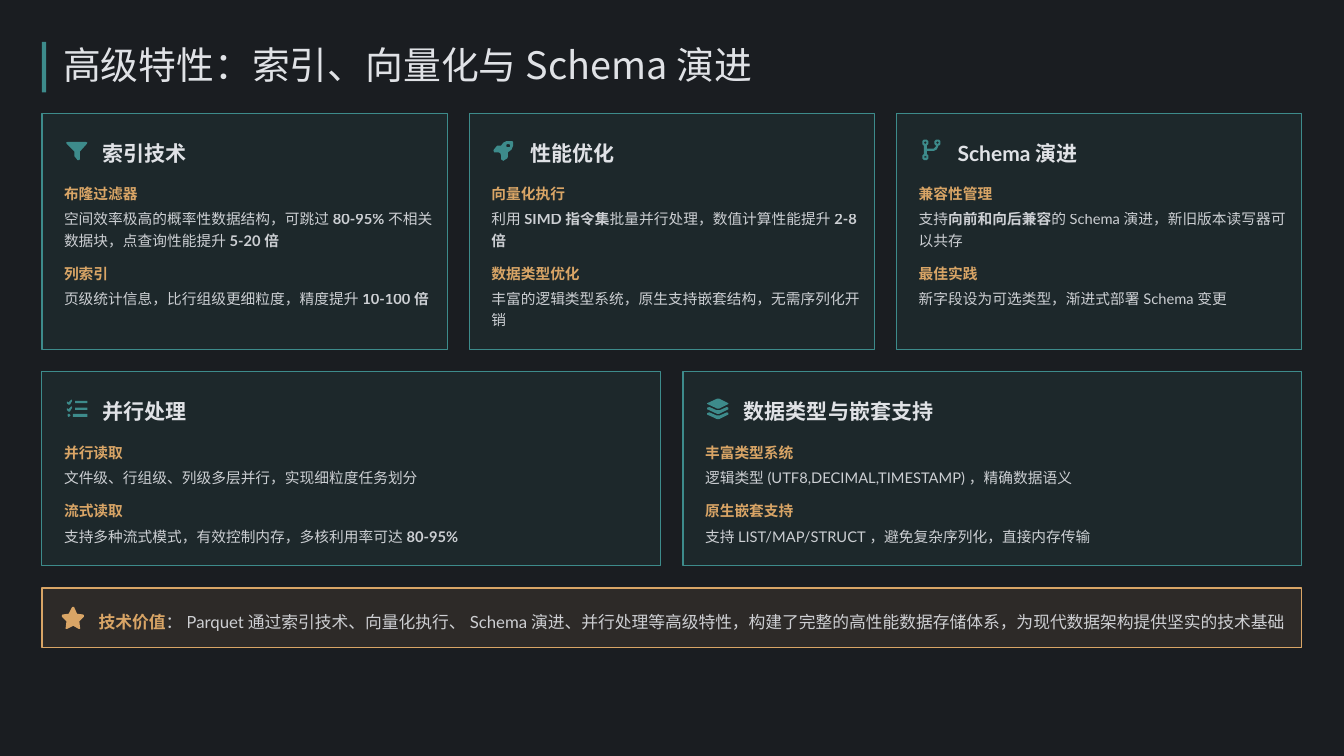
"""Build the slide on indexing, vectorisation and schema evolution."""
import math

from lxml import etree
from pptx import Presentation
from pptx.dml.color import RGBColor
from pptx.enum.shapes import MSO_SHAPE
from pptx.enum.text import MSO_ANCHOR
from pptx.oxml.ns import qn
from pptx.util import Pt

PX = 12700
ICON_UNIT = 9144
RECTANGLE = MSO_SHAPE.RECTANGLE
MIDDLE = MSO_ANCHOR.MIDDLE
LATIN, CJK = "Lato", "Noto Sans CJK SC"
COLORS = {"background": "1A1D21", "teal": "3D8B8B", "gold": "D9A566", "text": "E0E2E6"}

SLIDE_SIZE = (1280, 720)
LEFT, CONTENT_WIDTH, GAP = 40, 1200, 21
TITLE = "高级特性：索引、向量化与Schema演进"
VALUE_LABEL = "技术价值"
VALUE_TEXT = ("：Parquet通过索引技术、向量化执行、Schema演进、并行处理等高级特性，"
              "构建了完整的高性能数据存储体系，为现代数据架构提供坚实的技术基础")

ROWS = [
    {"top": 108, "height": 225, "cards": [
        ("funnel", "索引技术", 90, [
            ("布隆过滤器", "空间效率极高的概率性数据结构，可跳过**80-95%**不相关数据块，点查询性能提升**5-20倍**", 2),
            ("列索引", "页级统计信息，比行组级更细粒度，精度提升**10-100倍**", 1)]),
        ("rocket", "性能优化", 90, [
            ("向量化执行", "利用**SIMD指令集**批量并行处理，数值计算性能提升**2-8倍**", 2),
            ("数据类型优化", "丰富的逻辑类型系统，原生支持嵌套结构，无需序列化开销", 2)]),
        ("branch", "Schema演进", 124, [
            ("兼容性管理", "支持**向前和向后兼容**的Schema演进，新旧版本读写器可以共存", 2),
            ("最佳实践", "新字段设为可选类型，渐进式部署Schema变更", 1)])]},
    {"top": 354, "height": 185, "cards": [
        ("checklist", "并行处理", 90, [
            ("并行读取", "文件级、行组级、列级多层并行，实现细粒度任务划分", 1),
            ("流式读取", "支持多种流式模式，有效控制内存，多核利用率可达**80-95%**", 1)]),
        ("layers", "数据类型与嵌套支持", 190, [
            ("丰富类型系统", "逻辑类型(UTF8,DECIMAL,TIMESTAMP)，精确数据语义", 1),
            ("原生嵌套支持", "支持LIST/MAP/STRUCT，避免复杂序列化，直接内存传输", 1)])]},
]


def circle(x, y, radius):
    angles = [math.tau * step / 16 for step in range(16)]
    return [(x + radius * math.cos(a), y + radius * math.sin(a)) for a in angles]


def bar(left, top, right, bottom):
    return [(left, top), (right, top), (right, bottom), (left, bottom)]


def lowered(points, distance):
    return [(x, y + distance) for x, y in points]


CHECK = [(7, 2), (8, 4), (5, 9), (3, 9), (1, 7), (1, 5), (2, 5), (3, 6), (6, 3)]
BAND = [(3, 12), (12, 16), (17, 16), (26, 12), (28, 13), (28, 15), (16, 21), (13, 21),
        (0, 15), (0, 13)]
NODES = [(6, 4), (22, 4), (6, 23)]
ICONS = {
    "funnel": [[(2, 3), (0, 4), (1, 6), (11, 16), (11, 22), (15, 27), (17, 27), (18, 26),
                (18, 16), (27, 6), (28, 4), (26, 3)]],
    "rocket": [[(7, 17), (1, 17), (0, 14), (3, 10), (5, 8), (10, 8), (13, 4), (17, 2),
                (25, 2), (26, 3), (26, 8), (24, 13), (19, 17), (19, 23), (18, 25),
                (13, 28), (10, 26), (10, 21), (9, 18)], circle(19.5, 8, 2.5)],
    "branch": [circle(x, y, radius) for x, y in NODES for radius in (4, 1.5)] + [
        [(4, 8), (8, 8), (8, 12), (17, 12), (20, 9), (20, 8), (23, 8), (23, 9), (21, 13),
         (17, 15), (8, 15), (8, 19), (4, 19)]],
    "checklist": [CHECK, lowered(CHECK, 9), bar(12, 4, 28, 7), bar(12, 13, 28, 16),
                  bar(9, 21, 28, 25), circle(3.5, 23, 2)],
    "layers": [[(13, 1), (16, 1), (28, 7), (28, 8), (16, 14), (13, 14), (0, 8), (0, 7)],
               BAND, lowered(BAND, 7)],
    "star": [[(14, 0), (16, 0), (20, 9), (28, 10), (29, 11), (29, 13), (23, 19), (24, 27),
              (24, 29), (22, 29), (15, 25), (7, 29), (5, 29), (5, 27), (6, 19), (0, 13),
              (0, 11), (1, 10), (9, 9), (13, 1)]],
}


def emu(*lengths):
    return [round(length * PX) for length in lengths]


def set_fill(fill, color, opacity=100):
    fill.solid()
    fill.fore_color.rgb = RGBColor.from_string(COLORS[color])
    if opacity < 100:
        rgb = fill._xPr.find(qn("a:solidFill")).find(qn("a:srgbClr"))
        etree.SubElement(rgb, qn("a:alpha")).set("val", str(opacity * 1000))


def add_panel(slide, box, color, opacity=10):
    panel = slide.shapes.add_shape(RECTANGLE, *emu(*box))
    panel.shadow.inherit = False
    set_fill(panel.fill, color, opacity)
    if opacity == 100:
        panel.line.fill.background()
    else:
        set_fill(panel.line.fill, color)
        panel.line.width = Pt(1)


def add_icon(slide, name, left, top, color):
    first, *others = ICONS[name]
    builder = slide.shapes.build_freeform(*first[0], scale=ICON_UNIT)
    builder.add_line_segments(first[1:])
    for contour in others:
        builder.move_to(*contour[0])
        builder.add_line_segments(contour[1:])
    icon = builder.convert_to_shape(*emu(left, top))
    icon.shadow.inherit = False
    set_fill(icon.fill, color)
    icon.line.fill.background()


def add_text(slide, box, runs, size, spacing=1.2, latin=LATIN):
    text_box = slide.shapes.add_textbox(*emu(*box))
    frame = text_box.text_frame
    frame.word_wrap = True
    frame.vertical_anchor = MIDDLE
    frame.margin_left = frame.margin_right = frame.margin_top = frame.margin_bottom = 0
    paragraph = frame.paragraphs[0]
    paragraph.line_spacing = spacing
    for text, color, opacity, bold in runs:
        run = paragraph.add_run()
        run.text = text
        run.font.size = Pt(size)
        run.font.bold = bold
        run.font.name = latin
        set_fill(run.font.fill, color, opacity)
        etree.SubElement(run.font._element, qn("a:ea")).set("typeface", CJK)


def body_runs(text):
    parts = enumerate(text.split("**"))
    return [(part, "text", 90, index % 2 == 1) for index, part in parts if part]


def add_card(slide, left, top, width, height, card):
    icon, heading, heading_width, sections = card
    add_panel(slide, (left, top, width, height), "teal")
    add_icon(slide, icon, left + 23, top + 25, "teal")
    add_text(slide, (left + 58, top + 21, heading_width, 28),
             [(heading, "text", 100, True)], 20)
    section_top = top + 65
    for label, body, lines in sections:
        add_text(slide, (left + 21, section_top, width - 34, 20),
                 [(label, "gold", 100, True)], 14)
        add_text(slide, (left + 21, section_top + 24, width - 34, 20 * lines),
                 body_runs(body), 14)
        section_top += 36 + 20 * lines


def main():
    presentation = Presentation()
    presentation.slide_width, presentation.slide_height = emu(*SLIDE_SIZE)
    slide = presentation.slides.add_slide(presentation.slide_layouts[6])
    set_fill(slide.background.fill, "background")

    add_panel(slide, (LEFT, 40, 4, 48), "teal", 100)
    add_text(slide, (60, 44, 660, 40), [(TITLE, "text", 100, False)], 36, 0.9, CJK)

    for row in ROWS:
        count = len(row["cards"])
        width = (CONTENT_WIDTH - GAP * (count - 1)) / count
        for column, card in enumerate(row["cards"]):
            add_card(slide, LEFT + column * (width + GAP), row["top"], width, row["height"], card)

    add_panel(slide, (LEFT, 560, CONTENT_WIDTH, 57), "gold")
    add_icon(slide, "star", 59, 578, "gold")
    add_text(slide, (94, 577, 1134, 24),
             [(VALUE_LABEL, "gold", 100, True), (VALUE_TEXT, "text", 90, False)], 16, 1.3)
    presentation.save("out.pptx")


if __name__ == "__main__":
    main()
